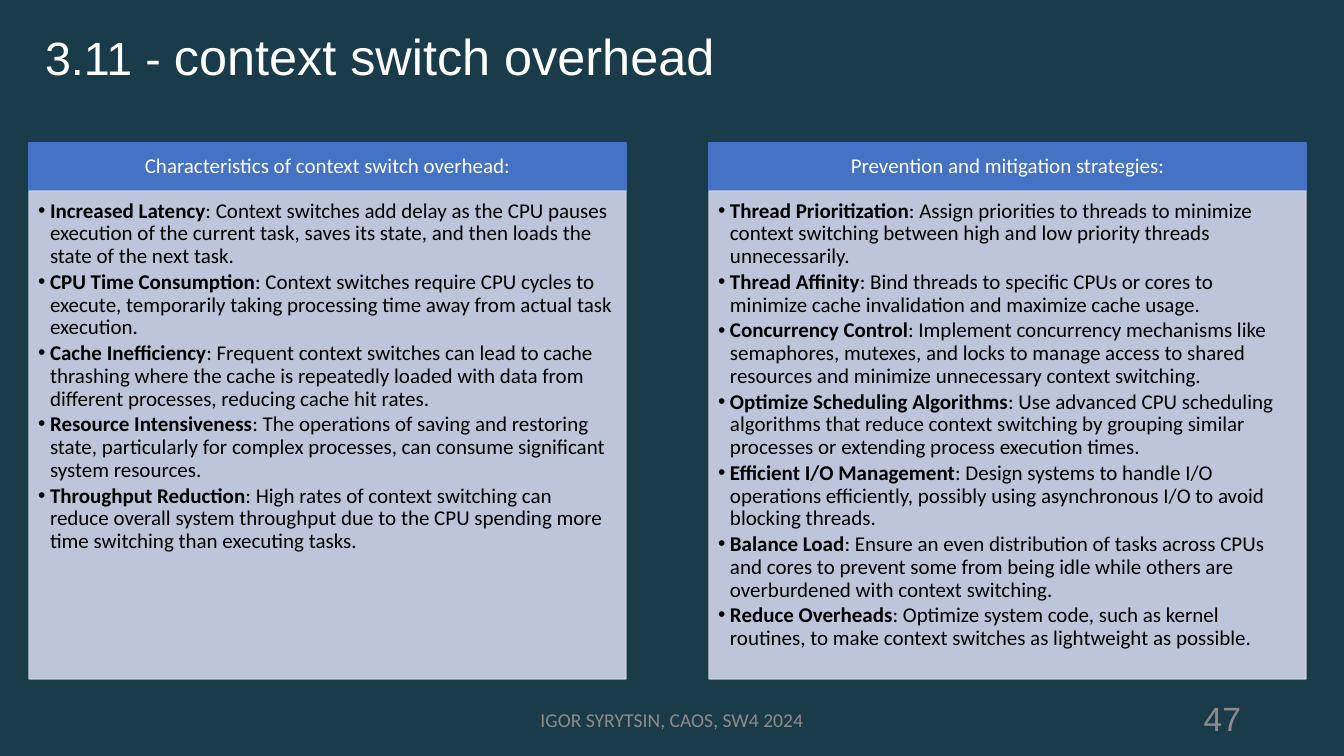
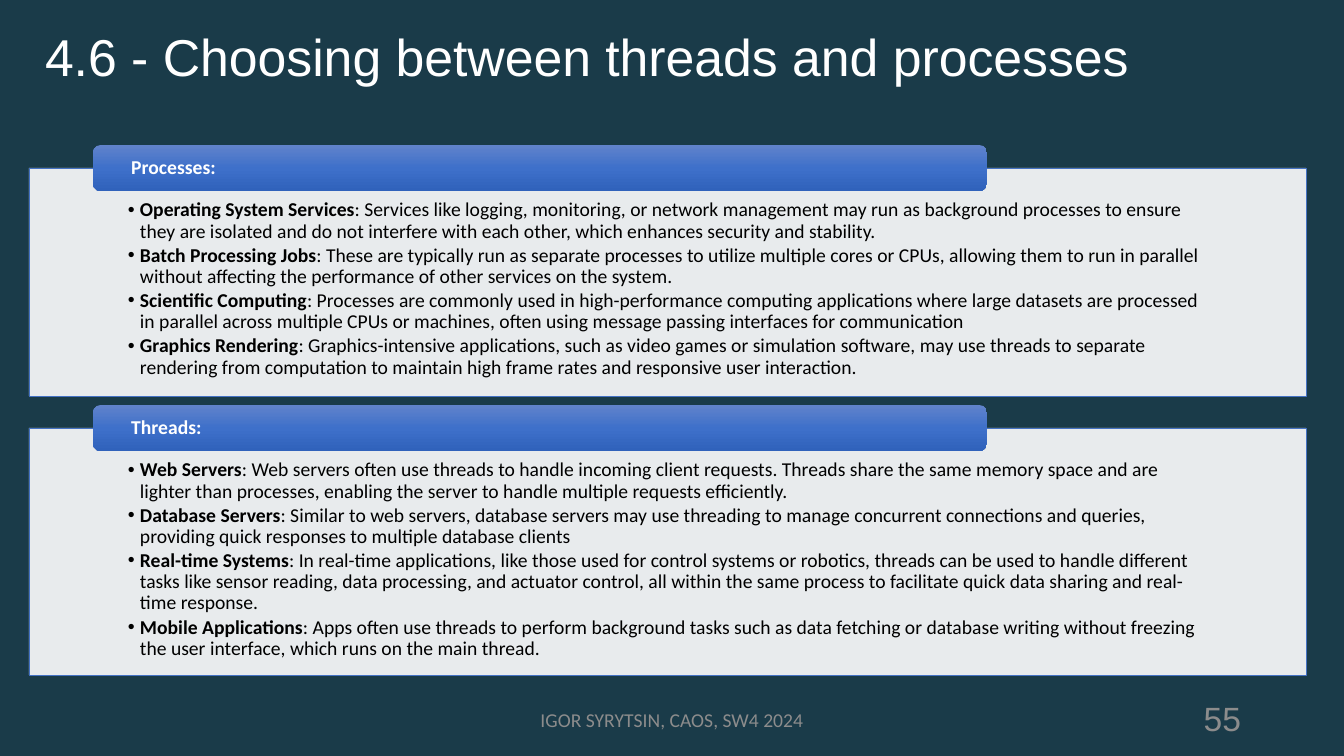
import pptx
import pptx.util
import pptx.dml.color
import pptx.enum.shapes
import pptx.enum.text
import pptx.oxml
import pptx.oxml.ns
from dataclasses import dataclass

SCALE = 914400 / 100.8
WIDE, HIGH = 1344, 756
RECT = pptx.enum.shapes.MSO_SHAPE.RECTANGLE
ROUND = pptx.enum.shapes.MSO_SHAPE.ROUNDED_RECTANGLE
ALIGN = pptx.enum.text.PP_ALIGN
ANCHOR = pptx.enum.text.MSO_ANCHOR


@dataclass(frozen=True)
class Theme:
    back: str = "1A3B49"
    white: str = "FFFFFF"
    ink: str = "000000"
    blue: str = "4472C4"
    pale: str = "CFD5EA"
    grey: str = "8C8C8C"
    shine: tuple = ((0, "6183CB"), (50, "3E70CA"), (100, "3062BB"))
    alpha: int = 90
    head: str = "Arial"
    body: str = "Calibri"
    column: float = 15
    panel: float = 14
    foot: float = 14
    number: float = 24
    tight: float = 0.9


T = Theme()

TRAITS = (
    "Increased Latency: Context switches add delay as the CPU pauses execution of the current task, saves its state, and then loads the state of the next task.",
    "CPU Time Consumption: Context switches require CPU cycles to execute, temporarily taking processing time away from actual task execution.",
    "Cache Inefficiency: Frequent context switches can lead to cache thrashing where the cache is repeatedly loaded with data from different processes, reducing cache hit rates.",
    "Resource Intensiveness: The operations of saving and restoring state, particularly for complex processes, can consume significant system resources.",
    "Throughput Reduction: High rates of context switching can reduce overall system throughput due to the CPU spending more time switching than executing tasks.",
)
REMEDIES = (
    "Thread Prioritization: Assign priorities to threads to minimize context switching between high and low priority threads unnecessarily.",
    "Thread Affinity: Bind threads to specific CPUs or cores to minimize cache invalidation and maximize cache usage.",
    "Concurrency Control: Implement concurrency mechanisms like semaphores, mutexes, and locks to manage access to shared resources and minimize unnecessary context switching.",
    "Optimize Scheduling Algorithms: Use advanced CPU scheduling algorithms that reduce context switching by grouping similar processes or extending process execution times.",
    "Efficient I/O Management: Design systems to handle I/O operations efficiently, possibly using asynchronous I/O to avoid blocking threads.",
    "Balance Load: Ensure an even distribution of tasks across CPUs and cores to prevent some from being idle while others are overburdened with context switching.",
    "Reduce Overheads: Optimize system code, such as kernel routines, to make context switches as lightweight as possible.",
)
PROCESSES = (
    "Operating System Services: Services like logging, monitoring, or network management may run as background processes to ensure they are isolated and do not interfere with each other, which enhances security and stability.",
    "Batch Processing Jobs: These are typically run as separate processes to utilize multiple cores or CPUs, allowing them to run in parallel without affecting the performance of other services on the system.",
    "Scientific Computing: Processes are commonly used in high-performance computing applications where large datasets are processed in parallel across multiple CPUs or machines, often using message passing interfaces for communication",
    "Graphics Rendering: Graphics-intensive applications, such as video games or simulation software, may use threads to separate rendering from computation to maintain high frame rates and responsive user interaction.",
)
THREADS = (
    "Web Servers: Web servers often use threads to handle incoming client requests. Threads share the same memory space and are lighter than processes, enabling the server to handle multiple requests efficiently.",
    "Database Servers: Similar to web servers, database servers may use threading to manage concurrent connections and queries, providing quick responses to multiple database clients",
    "Real-time Systems: In real-time applications, like those used for control systems or robotics, threads can be used to handle different tasks like sensor reading, data processing, and actuator control, all within the same process to facilitate quick data sharing and real-time response.",
    "Mobile Applications: Apps often use threads to perform background tasks such as data fetching or database writing without freezing the user interface, which runs on the main thread.",
)


def px(n):
    return pptx.util.Emu(round(n * SCALE))


def rgb(color):
    return pptx.dml.color.RGBColor.from_string(color)


def node(parent, tag, **attrs):
    child = pptx.oxml.parse_xml(f"<a:{tag} {pptx.oxml.ns.nsdecls('a')}/>")
    for name, value in attrs.items():
        child.set(name, str(value))
    parent.append(child)
    return child


def fade(part):
    """Make every solid colour below this element partly transparent."""
    for color in part.iter(pptx.oxml.ns.qn("a:srgbClr")):
        node(color, "alpha", val=T.alpha * 1000)


def style(run, size, color, face=T.body, bold=False):
    font = run.font
    font.name, font.size, font.bold = face, pptx.util.Pt(size), bold
    font.color.rgb = rgb(color)


def frame(shape, pads, anchor):
    """Wrap the text; pads are left, top, right, bottom."""
    text = shape.text_frame
    text.word_wrap = True
    text.vertical_anchor = anchor
    text.margin_left, text.margin_top, text.margin_right, text.margin_bottom = map(px, pads)
    return text


def label(shape, words, size, color, align, pads, face=T.body, bold=False):
    text = frame(shape, pads, ANCHOR.MIDDLE)
    text.text = words
    line = text.paragraphs[0]
    line.alignment = align
    line.line_spacing = T.tight
    style(line.runs[0], size, color, face, bold)


def block(slide, kind, box, fill, line=None, width=1):
    shape = slide.shapes.add_shape(kind, *map(px, box))
    shape.shadow.inherit = False
    shape.fill.solid()
    shape.fill.fore_color.rgb = rgb(fill)
    if line:
        shape.line.color.rgb = rgb(line)
        shape.line.width = pptx.util.Pt(width)
    else:
        shape.line.fill.background()
    return shape


def gloss(shape):
    """Fill the shape with the theme's top-down gradient."""
    shape.fill.gradient()
    shape.fill.gradient_angle = 270
    stops = shape._element.spPr.find(".//" + pptx.oxml.ns.qn("a:gsLst"))
    for old in list(stops):
        stops.remove(old)
    for place, color in T.shine:
        node(node(stops, "gs", pos=place * 1000), "srgbClr", val=color)


def bullets(shape, items, size, pads):
    """Each item is a bold term, a colon and its explanation."""
    text = frame(shape, pads, ANCHOR.TOP)
    for i, item in enumerate(items):
        line = text.add_paragraph() if i else text.paragraphs[0]
        props = line._p.get_or_add_pPr()
        props.set("marL", str(px(12)))
        props.set("indent", str(-px(12)))
        node(props, "buFont", typeface=T.head)
        node(props, "buChar", char="•")
        line.level = 1
        line.alignment = ALIGN.LEFT
        line.line_spacing = T.tight
        line.space_after = pptx.util.Pt(round(size * 0.15, 2))
        term, colon, rest = item.partition(":")
        for words, bold in ((term, True), (colon + rest, False)):
            run = line.add_run()
            run.text = words
            style(run, size, T.ink, bold=bold)


def column(slide, box, head, items):
    left, top, width, height = box
    bar = 48
    cap = block(slide, RECT, (left, top, width, bar), T.blue, T.blue)
    label(cap, head, T.column, T.white, ALIGN.CENTER, (12, 7, 12, 7))
    body = block(slide, RECT, (left, top + bar, width, height - bar), T.pale, T.pale)
    fade(body._element.spPr)
    bullets(body, items, T.column, (9, 9, 12, 13))


def panel(slide, box, head, items):
    left, top, width, height = box
    body = block(slide, RECT, box, T.white, T.blue, 0.5)
    fade(body._element.spPr.find(pptx.oxml.ns.qn("a:solidFill")))
    bullets(body, items, T.panel, (99, 32, 99, 11))
    tab = block(slide, ROUND, (left + 64, top - 23, round(width * 0.7), 46), T.blue)
    gloss(tab)
    label(tab, head, T.panel, T.white, ALIGN.LEFT, (36, 0, 36, 0), bold=True)


def start(deck, parts, number):
    """Add a slide with its title, given as (words, size) parts, and footer."""
    slide = deck.slides.add_slide(deck.slide_layouts[5])
    title = slide.shapes.title
    title.left, title.top, title.width, title.height = map(px, (35, 25, 1159, 69))
    line = frame(title, (10, 5, 10, 5), ANCHOR.MIDDLE).paragraphs[0]
    line.alignment = ALIGN.LEFT
    line.line_spacing = T.tight
    for words, size in parts:
        run = line.add_run()
        run.text = words
        style(run, size, T.white, T.head)
    foot = slide.shapes.add_textbox(*map(px, (445, 701, 454, 40)))
    label(foot, "IGOR SYRYTSIN, CAOS, SW4 2024", T.foot, T.grey, ALIGN.CENTER, (10, 5, 10, 5))
    count = slide.shapes.add_textbox(*map(px, (949, 701, 302, 40)))
    label(count, str(number), T.number, T.grey, ALIGN.RIGHT, (10, 5, 10, 5), T.head)
    return slide


def overhead(deck):
    slide = start(deck, (("3.11 - ", 33.3), ("context switch overhead", 36)), 47)
    topics = (("Characteristics of context switch overhead:", TRAITS),
              ("Prevention and mitigation strategies:", REMEDIES))
    for i, (head, items) in enumerate(topics):
        column(slide, (29 + i * 680, 143, 597, 536), head, items)


def choice(deck):
    slide = start(deck, (("4.6 - Choosing between threads and processes", 37),), 55)
    top = 168
    for head, items, height in (("Processes:", PROCESSES, 228), ("Threads:", THREADS, 247)):
        panel(slide, (29, top, 1277, height), head, items)
        top += height + 32


def main():
    deck = pptx.Presentation()
    deck.slide_width, deck.slide_height = px(WIDE), px(HIGH)
    back = deck.slide_master.background.fill
    back.solid()
    back.fore_color.rgb = rgb(T.back)
    overhead(deck)
    choice(deck)
    deck.save("out.pptx")


if __name__ == "__main__":
    main()
